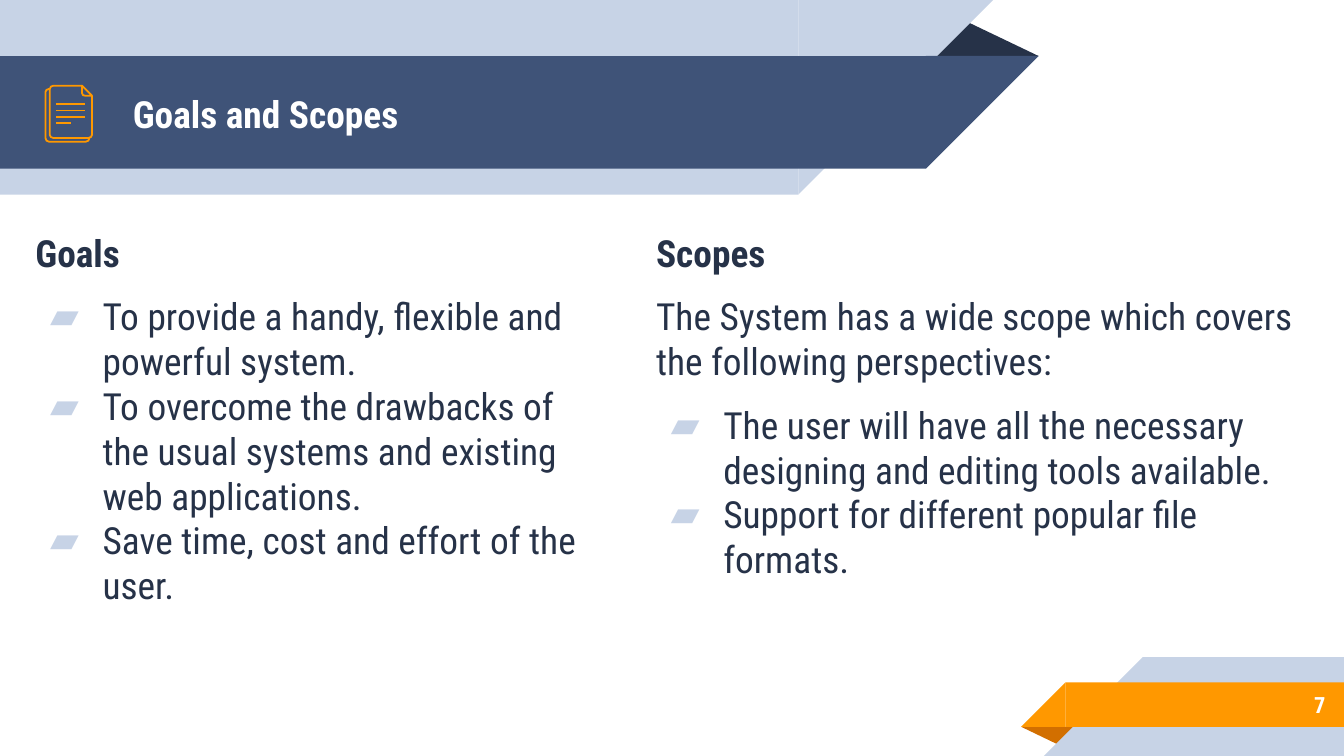
"""Build the "Goals and Scopes" slide with its banners, icon and two text columns."""
import pptx
import pptx.dml.color
import pptx.enum.shapes
import pptx.enum.text
import pptx.oxml.ns
import pptx.util
from lxml import etree

Cm = pptx.util.Cm
Pt = pptx.util.Pt
RGBColor = pptx.dml.color.RGBColor
PP_ALIGN = pptx.enum.text.PP_ALIGN
MSO_ANCHOR = pptx.enum.text.MSO_ANCHOR
MSO_SHAPE = pptx.enum.shapes.MSO_SHAPE

INK = RGBColor(0x26, 0x32, 0x48)
NAVY = RGBColor(0x3F, 0x53, 0x78)
MIST = RGBColor(0xC7, 0xD3, 0xE6)
ORANGE = RGBColor(0xFF, 0x98, 0x00)
RUST = RGBColor(0xD2, 0x6F, 0x00)
WHITE = RGBColor(0xFF, 0xFF, 0xFF)
FONT = "Roboto Condensed"
WIDTH, HEIGHT = 25.4, 14.29

TITLE = "Goals and Scopes"
PAGE_NUMBER = "7"
COLUMNS = [
    ((0.42, 4.1, 11.23, 9.65), "Goals", [], [
        "To provide a handy, flexible and powerful system.",
        "To overcome the drawbacks of the usual systems and existing web applications.",
        "Save time, cost and effort of the user.",
    ]),
    ((12.15, 4.1, 12.98, 8.28), "Scopes",
     ["The System has a wide scope which covers the following perspectives:"], [
        "The user will have all the necessary designing and editing tools available.",
        "Support for different popular file formats.",
    ]),
]
TOP_FOLD = (INK, (17.48, 0.36, 2.15, 0.7), 0.32, None)
BOTTOM_FOLD = (RUST, (19.3, 13.74, 1.1, 0.36), 0.68, "flipV")
TOP_BANDS = [(MIST, 0, 15.09, 3.68), (NAVY, 1.06, 17.5, 2.13)]
BOTTOM_BANDS = [(MIST, 12.42, 21.6, 1.87), (ORANGE, 12.9, 20.14, 0.84)]

BACK_SHEET = [(1.69, 2.61), (1.67, 2.66), (1.62, 2.68), (0.93, 2.68), (0.88, 2.66),
              (0.86, 2.61), (0.86, 1.74), (0.88, 1.7), (0.93, 1.68)]
FRONT_SHEET = [(1.74, 1.81), (1.74, 2.55), (1.72, 2.59), (1.67, 2.61), (1.01, 2.61),
               (0.96, 2.59), (0.94, 2.55), (0.94, 1.69), (0.96, 1.64), (1.01, 1.62),
               (1.55, 1.62)]
FOLD = [(1.55, 1.62), (1.74, 1.81), (1.61, 1.81), (1.57, 1.8), (1.55, 1.76)]
ICON_OUTLINES = [(BACK_SHEET, False), (FRONT_SHEET, False), (FOLD, True)]
ICON_LINE_LEFT, ICON_LINE_TOP, ICON_LINE_STEP = 1.06, 1.97, 0.12
ICON_LINE_WIDTHS = [0.54, 0.54, 0.54, 0.29]


def add_block(page, kind, color, area, flip=None):
    block = page.shapes.add_shape(kind, *map(Cm, area))
    block.shadow.inherit = False
    block.fill.solid()
    block.fill.fore_color.rgb = color
    block.line.fill.background()
    if flip:
        block.element.spPr.xfrm.set(flip, "1")
    return block


def add_fold(page, color, area, apex, flip):
    fold = add_block(page, MSO_SHAPE.ISOSCELES_TRIANGLE, color, area, flip)
    fold.adjustments[0] = apex


def add_banners(page):
    add_fold(page, *TOP_FOLD)
    for color, top, width, height in TOP_BANDS:
        add_block(page, MSO_SHAPE.RECTANGLE, color, (0, top, width, height))
        add_block(page, MSO_SHAPE.RIGHT_TRIANGLE, color,
                  (width, top, height, height), "flipV")
    add_fold(page, *BOTTOM_FOLD)
    for color, top, left, height in BOTTOM_BANDS:
        add_block(page, MSO_SHAPE.RECTANGLE, color, (left, top, WIDTH - left, height))
        add_block(page, MSO_SHAPE.RIGHT_TRIANGLE, color,
                  (left - height, top, height, height), "flipH")


def style_line(line):
    line.color.rgb = ORANGE
    line.width = Pt(0.96)


def add_icon(page):
    for points, closed in ICON_OUTLINES:
        start, *corners = [(Cm(x), Cm(y)) for x, y in points]
        builder = page.shapes.build_freeform(*start)
        builder.add_line_segments(corners, close=closed)
        outline = builder.convert_to_shape()
        outline.shadow.inherit = False
        outline.fill.background()
        style_line(outline.line)
    for index, width in enumerate(ICON_LINE_WIDTHS):
        top = Cm(ICON_LINE_TOP + index * ICON_LINE_STEP)
        rule = page.shapes.add_connector(
            pptx.enum.shapes.MSO_CONNECTOR.STRAIGHT,
            Cm(ICON_LINE_LEFT), top, Cm(ICON_LINE_LEFT + width), top)
        style_line(rule.line)
        etree.SubElement(rule.element.spPr, pptx.oxml.ns.qn("a:effectLst"))


def place(box, area, anchor):
    box.left, box.top, box.width, box.height = map(Cm, area)
    frame = box.text_frame
    frame.word_wrap = True
    frame.auto_size = pptx.enum.text.MSO_AUTO_SIZE.NONE
    frame.vertical_anchor = anchor
    frame.margin_left = frame.margin_right = Cm(0.25)
    frame.margin_top = frame.margin_bottom = Cm(0.25)
    return frame


def write(para, text, size=20, color=INK, bold=False, before=0, align=PP_ALIGN.LEFT):
    para.text = text
    para.alignment = align
    para.space_before = Pt(before)
    font = para.font
    font.name, font.size, font.bold = FONT, Pt(size), bold
    font.color.rgb = color


def add_bullet(para):
    properties = para._p.get_or_add_pPr()
    properties.set("marL", str(Cm(1.27)))
    properties.set("indent", str(-Cm(0.99)))
    color = etree.Element(pptx.oxml.ns.qn("a:buClr"))
    etree.SubElement(color, pptx.oxml.ns.qn("a:srgbClr"), val=str(MIST))
    face = etree.Element(pptx.oxml.ns.qn("a:buFont"), typeface=FONT)
    mark = etree.Element(pptx.oxml.ns.qn("a:buChar"), char="▰")
    position = len(properties.findall(pptx.oxml.ns.qn("a:spcBef")))
    for offset, element in enumerate((color, face, mark)):
        properties.insert(position + offset, element)


def add_column(page, area, heading, intro, bullets):
    frame = place(page.shapes.add_textbox(0, 0, 0, 0), area, MSO_ANCHOR.TOP)
    write(frame.paragraphs[0], heading, bold=True, before=6)
    for text in intro:
        write(frame.add_paragraph(), text, before=10)
    for index, text in enumerate(bullets):
        para = frame.add_paragraph()
        write(para, text, before=0 if index else 10)
        add_bullet(para)


def main():
    deck = pptx.Presentation()
    deck.slide_width, deck.slide_height = Cm(WIDTH), Cm(HEIGHT)
    page = deck.slides.add_slide(deck.slide_layouts[5])
    add_banners(page)

    title = page.shapes.title
    title.element.getparent().append(title.element)
    frame = place(title, (2.26, 1.09, 14.6, 2.13), MSO_ANCHOR.MIDDLE)
    write(frame.paragraphs[0], TITLE, color=WHITE, bold=True)

    for column in COLUMNS:
        add_column(page, *column)

    number = page.shapes.add_textbox(0, 0, 0, 0)
    frame = place(number, (21.16, 12.88, 4.14, 0.89), MSO_ANCHOR.MIDDLE)
    write(frame.paragraphs[0], PAGE_NUMBER, 12, WHITE, True, align=PP_ALIGN.RIGHT)
    add_icon(page)
    deck.save("out.pptx")


if __name__ == "__main__":
    main()
